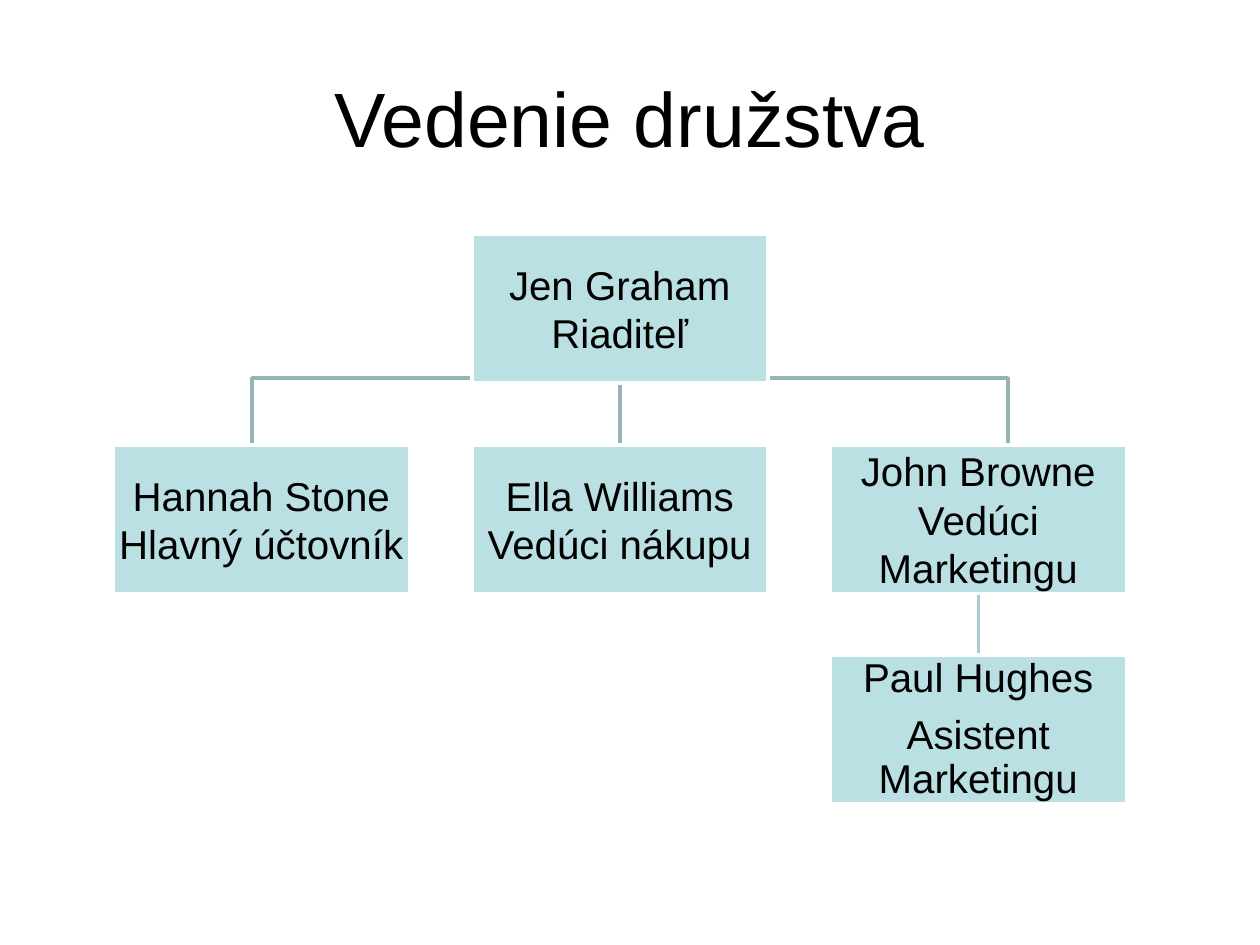
from pptx import Presentation
from pptx.dml.color import RGBColor
from pptx.enum.shapes import MSO_CONNECTOR as LINE, MSO_SHAPE as SHAPE
from pptx.enum.text import MSO_ANCHOR as ANCHOR, PP_ALIGN as ALIGN
from pptx.oxml.ns import qn
from pptx.util import Inches, Pt
from lxml.etree import SubElement

TITLE = "Vedenie družstva"
STAFF = {
    "head": (1, 0, ["Jen Graham", "Riaditeľ"], {}),
    "books": (0, 1, ["Hannah Stone", "Hlavný účtovník"], {}),
    "buyer": (1, 1, ["Ella Williams", "Vedúci nákupu"], {}),
    "market": (2, 1, ["John Browne", "Vedúci Marketingu"], {}),
    "helper": (2, 2, ["Paul Hughes", "Asistent Marketingu"],
               {"lead": 0.9, "after": 8}),
}

BLACK = RGBColor(0x00, 0x00, 0x00)
WHITE = RGBColor(0xFF, 0xFF, 0xFF)
AQUA = RGBColor(0xBB, 0xE0, 0xE3)
TEAL = RGBColor(0x96, 0xB3, 0xB6)
PALE = RGBColor(0xAA, 0xCB, 0xCE)

LINKS = [
    ("market", "helper", PALE),
    ("head", "market", TEAL),
    ("head", "buyer", TEAL),
    ("head", "books", TEAL),
]

LEFT, TOP = 0.9, 1.86
WIDE, HIGH = 2.35, 1.18
STEP_X, STEP_Y = 2.845, 1.67


def write(shape, lines, size=23, pad=0.02, lead=None, after=None):
    frame = shape.text_frame
    frame.word_wrap = True
    frame.vertical_anchor = ANCHOR.MIDDLE
    frame.margin_left = frame.margin_right = Inches(pad)
    frame.margin_top = frame.margin_bottom = Inches(pad)
    frame.text = "\n".join(lines)
    for para in frame.paragraphs:
        para.alignment = ALIGN.CENTER
        if lead:
            para.line_spacing = lead
        if after:
            para.space_after = Pt(after)
        para.font.name = "Arial"
        para.font.size = Pt(size)
        para.font.color.rgb = BLACK


def place(name):
    col, row = STAFF[name][:2]
    return LEFT + col * STEP_X, TOP + row * STEP_Y


def link(shapes, boss, aide, color):
    x1, y1 = place(boss)
    x2, y2 = place(aide)
    x1, x2, y1 = x1 + WIDE / 2, x2 + WIDE / 2, y1 + HIGH
    if x1 == x2:
        line = shapes.add_connector(
            LINE.STRAIGHT, Inches(x1), Inches(y1), Inches(x2), Inches(y2))
        SubElement(line._element.spPr, qn("a:effectLst"))
    else:
        mid = (y1 + y2) / 2
        pen = shapes.build_freeform(x1, y1, scale=Inches(1))
        pen.add_line_segments([(x1, mid), (x2, mid), (x2, y2)], close=False)
        line = pen.convert_to_shape()
        line.fill.background()
        line.shadow.inherit = False
    line.line.color.rgb = color
    line.line.width = Pt(2)


def card(shapes, name):
    x, y = place(name)
    lines, form = STAFF[name][2:]
    box = shapes.add_shape(
        SHAPE.RECTANGLE, Inches(x), Inches(y), Inches(WIDE), Inches(HIGH))
    box.shadow.inherit = False
    box.fill.solid()
    box.fill.fore_color.rgb = AQUA
    box.line.color.rgb = WHITE
    box.line.width = Pt(2)
    write(box, lines, **form)


def main():
    deck = Presentation()
    deck.slide_width, deck.slide_height = Inches(10), Inches(7.5)
    shapes = deck.slides.add_slide(deck.slide_layouts[5]).shapes
    title = shapes.title
    title.left, title.top = Inches(0.5), Inches(0.3)
    title.width, title.height = Inches(9), Inches(1.25)
    write(title, [TITLE], size=44, pad=0.1)
    for boss, aide, color in LINKS:
        link(shapes, boss, aide, color)
    for name in STAFF:
        card(shapes, name)
    deck.save("out.pptx")


if __name__ == "__main__":
    main()
